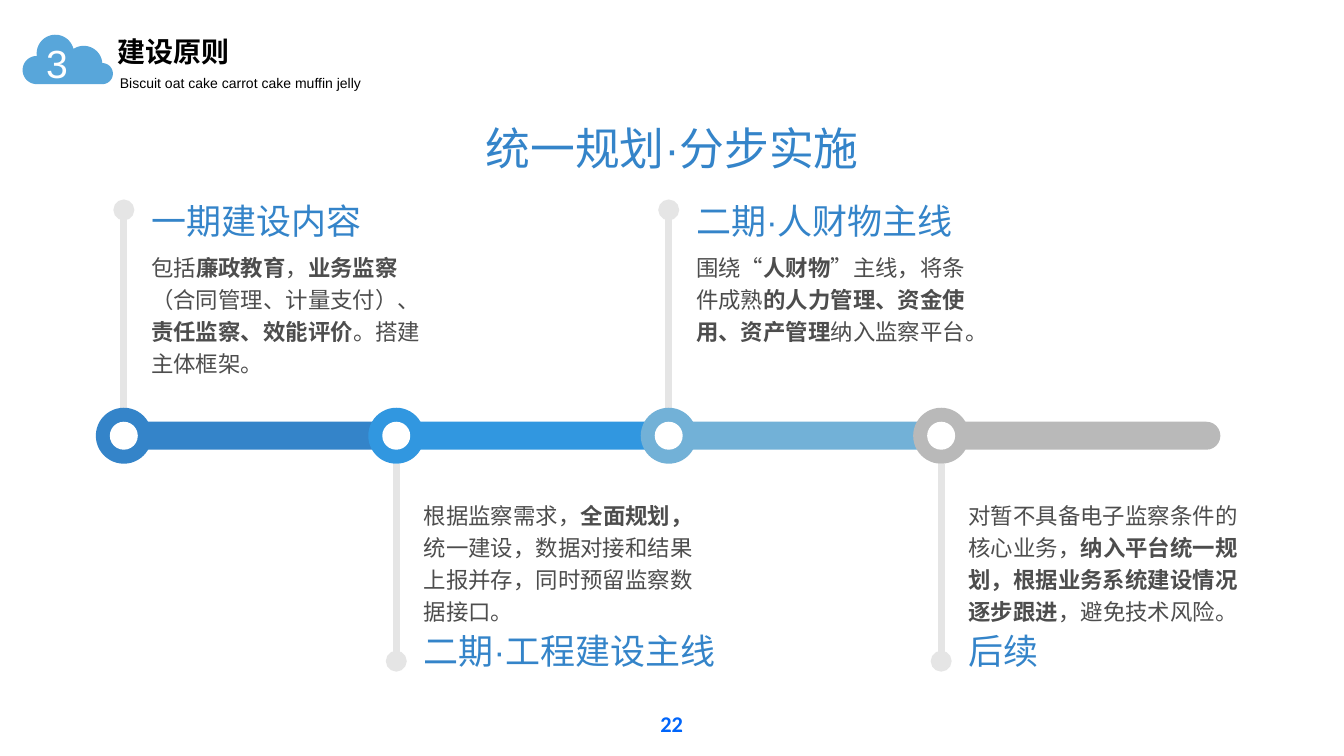
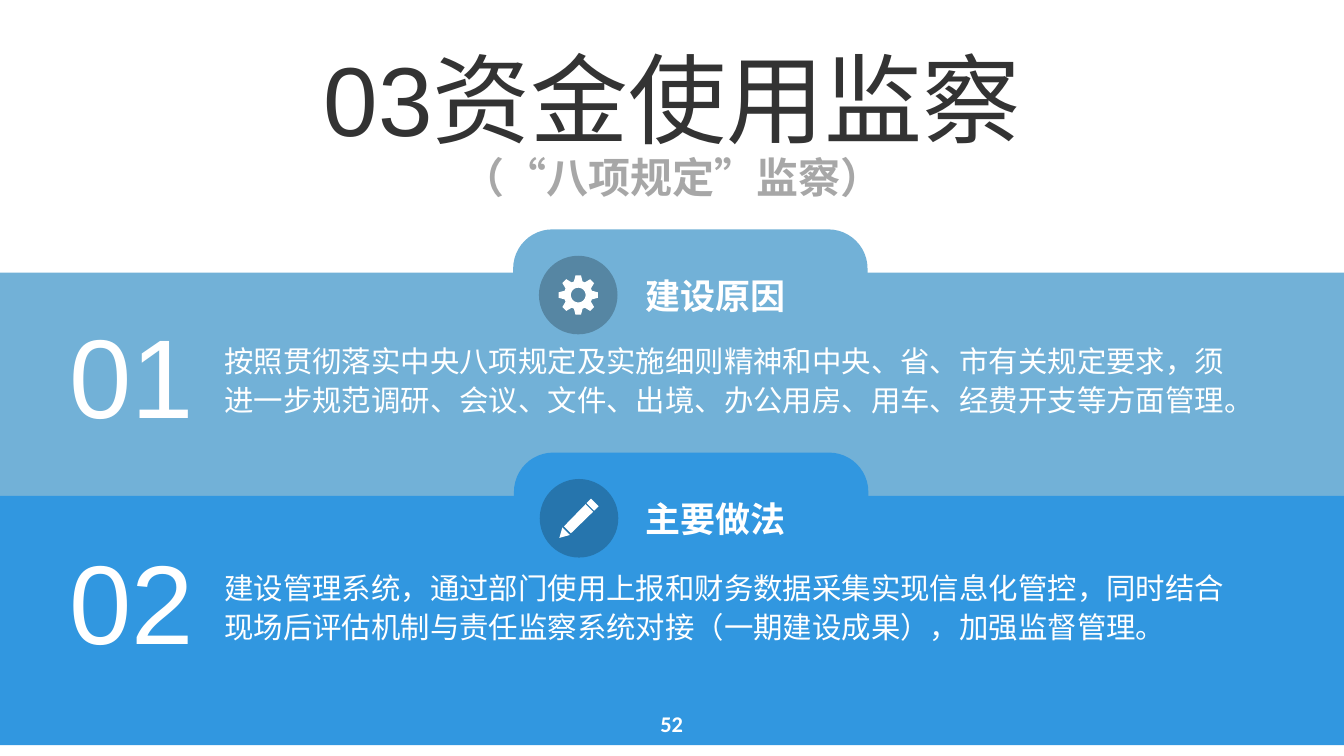
from math import cos, radians, sin

from lxml import etree
from pptx import Presentation
from pptx.dml.color import RGBColor
from pptx.enum import shapes, text
from pptx.oxml.ns import qn
from pptx.util import Cm, Pt

# Shared style
LATIN, CJK, NUMBERS = "Arial", "Noto Sans CJK SC", "Calibri"
WHITE, BLACK, INK, BODY = "FFFFFF", "000000", "333333", "4D4D4D"
DEEP, BRIGHT, PALE, GREY = "3484C9", "3197E0", "72B1D7", "B9B9B9"
CLOUD, STEM, MUTED, PAGE_BLUE = "58A6DA", "E5E5E5", "A7A7A7", "0065FA"
TOP, MIDDLE, BOTTOM = (text.MSO_ANCHOR.TOP, text.MSO_ANCHOR.MIDDLE,
                       text.MSO_ANCHOR.BOTTOM)
OVAL, RECT, ROUND = (shapes.MSO_SHAPE.OVAL, shapes.MSO_SHAPE.RECTANGLE,
                     shapes.MSO_SHAPE.ROUNDED_RECTANGLE)
SLIDE_W, SLIDE_H = 67.73, 38.1


def rgb(value):
    return RGBColor.from_string(value)


def write(frame, words, size=32, color=WHITE, bold=False, font=LATIN,
          center=False, spacing=None, more=False):
    """Fill a paragraph; parts between ** marks are bold."""
    paragraph = frame.add_paragraph() if more else frame.paragraphs[0]
    paragraph.alignment = text.PP_ALIGN.CENTER if center else text.PP_ALIGN.LEFT
    if spacing:
        paragraph.line_spacing = spacing
    for index, part in enumerate(words.split("**")):
        if not part:
            continue
        run = paragraph.add_run()
        run.text = part
        run.font.name, run.font.size = font, Pt(size)
        run.font.bold = bold or index % 2 == 1
        run.font.color.rgb = rgb(color)
        east_asian = etree.Element(qn("a:ea"), typeface=CJK)
        run.font._element.find(qn("a:latin")).addnext(east_asian)


def arc(cx, cy, radius, start, end, step=6):
    count = max(2, round((end - start) / step))
    angles = [radians(start + (end - start) * i / count) for i in range(count + 1)]
    return [(cx + radius * cos(a), cy + radius * sin(a)) for a in angles]


class Deck:
    def __init__(self):
        self.file = Presentation()
        self.file.slide_width, self.file.slide_height = Cm(SLIDE_W), Cm(SLIDE_H)
        self.slide = None

    def new_slide(self):
        self.slide = self.file.slides.add_slide(self.file.slide_layouts[5])

    def frame(self, holder, anchor, inset):
        frame = holder.text_frame
        frame.word_wrap = True
        frame.auto_size = text.MSO_AUTO_SIZE.NONE
        frame.vertical_anchor = anchor
        frame.margin_left = frame.margin_right = Cm(inset)
        frame.margin_top = frame.margin_bottom = Cm(inset)
        return frame

    def title(self, left, top, width, height, anchor):
        title = self.slide.shapes.title
        title.left, title.top = Cm(left), Cm(top)
        title.width, title.height = Cm(width), Cm(height)
        return self.frame(title, anchor, 0)

    def label(self, left, top, width, height, words, anchor=TOP, inset=0, **style):
        box = self.slide.shapes.add_textbox(Cm(left), Cm(top), Cm(width), Cm(height))
        write(self.frame(box, anchor, inset), words, **style)

    def paint(self, shape, color):
        shape.shadow.inherit = False
        shape.fill.solid()
        shape.fill.fore_color.rgb = rgb(color)
        shape.line.fill.background()

    def block(self, kind, left, top, width, height, color, rounding=None):
        shape = self.slide.shapes.add_shape(
            kind, Cm(left), Cm(top), Cm(width), Cm(height))
        if rounding is not None:
            shape.adjustments[0] = rounding
        self.paint(shape, color)

    def disc(self, cx, cy, diameter, color):
        self.block(OVAL, cx - diameter / 2, cy - diameter / 2,
                   diameter, diameter, color)

    def outline(self, contours, color):
        points = [[(Cm(x), Cm(y)) for x, y in contour] for contour in contours]
        builder = self.slide.shapes.build_freeform(*points[0][0])
        for index, contour in enumerate(points):
            if index:
                builder.move_to(*contour[0])
            builder.add_line_segments(contour[1:], close=True)
        self.paint(builder.convert_to_shape(), color)

    def stem(self, x, start, end):
        line = self.slide.shapes.add_connector(
            shapes.MSO_CONNECTOR.STRAIGHT, Cm(x), Cm(start), Cm(x), Cm(end))
        line.line.color.rgb, line.line.width = rgb(STEM), Pt(10)
        etree.SubElement(line.line._get_or_add_ln(), qn("a:tailEnd"), type="oval")
        etree.SubElement(line._element.spPr, qn("a:effectLst"))

    def page_number(self, number, color):
        self.label(32.66, 35.53, 2.39, 1.85, number, MIDDLE, 0.25, size=32,
                   color=color, bold=True, font=NUMBERS, center=True)


def principles(deck):
    deck.new_slide()
    deck.page_number("22", PAGE_BLUE)

    # Section header with numbered cloud
    deck.label(5.69, 1.5, 19.1, 2.49, "建设原则", inset=0.25, size=40,
               color=BLACK, bold=True, font=CJK)
    deck.label(5.79, 3.51, 14.88, 1.3, "Biscuit oat cake carrot cake muffin jelly",
               inset=0.25, size=20, color=BLACK)
    cloud = (arc(1.85, 3.53, 0.71, 90, 270) + arc(2.79, 2.69, 0.94, 172, 346)
             + arc(4.22, 3.25, 0.94, 240, 355) + arc(5.16, 3.71, 0.53, 270, 450))
    deck.outline([cloud], CLOUD)
    deck.label(2.08, 1.75, 2.64, 2.74, "3", inset=0.25, size=56)

    write(deck.title(4.8, 5.26, 58.14, 3.56, BOTTOM), "统一规划·分步实施",
          size=64, color=DEEP, center=True, spacing=0.9)

    # Phases alternate above and below the axis
    phases = [
        ("一期建设内容", DEEP,
         "包括**廉政教育**，**业务监察**（合同管理、计量支付）、"
         "**责任监察、效能评价**。搭建主体框架。"),
        ("二期·工程建设主线", BRIGHT,
         "根据监察需求，**全面规划，**统一建设，数据对接和结果上报并存，"
         "同时预留监察数据接口。"),
        ("二期·人财物主线", PALE,
         "围绕“**人财物**”主线，将条件成熟**的人力管理、资金使用、"
         "资产管理**纳入监察平台。"),
        ("后续", GREY,
         "对暂不具备电子监察条件的核心业务，**纳入平台统一规划，"
         "根据业务系统建设情况逐步跟进**，避免技术风险。"),
    ]
    axis, first, pitch, ring = 21.96, 6.24, 13.73, 2.82
    for index, (heading, color, detail) in enumerate(phases):
        x = first + index * pitch
        above = index % 2 == 0
        if above:
            deck.stem(x, axis - ring / 2, 10.58)
        else:
            deck.stem(x, axis + ring / 2, 33.32)
        deck.label(x + 1.38, 12.52 if above else 23.75, 14.12, 7.77, detail,
                   TOP if above else BOTTOM, color=BODY, spacing=1.2)
        deck.label(x + 1.38, 10.06 if above else 31.72, 15.95, 2.11, heading,
                   MIDDLE, size=50, color=DEEP)

    # Axis segments and nodes
    for index, (_, color, _) in enumerate(phases):
        x = first + index * pitch
        deck.block(ROUND, x + 0.29, axis - ring / 4, 13.78, ring / 2, color, 0.5)
        deck.disc(x, axis, ring, color)
        deck.disc(x, axis, ring / 2, WHITE)


def gear(cx, cy):
    teeth = [(radians(tooth * 45 + turn), radius) for tooth in range(8)
             for turn, radius in ((-17.5, 0.72), (-8, 1), (8, 1), (17.5, 0.72))]
    rim = [(cx + r * cos(a), cy + r * sin(a)) for a, r in teeth]
    return [rim, arc(cx, cy, 0.37, 360, 0, -10)]


def pencil(cx, cy):
    tip = [(0, 1.98), (0.15, 1.45), (0.53, 1.83)]
    barrel = [(0.58, 1.75), (0.23, 1.4), (1.32, 0.28), (1.7, 0.66)]
    eraser = [(1.75, 0.61), (1.37, 0.23), (1.6, 0), (1.98, 0.38)]
    return [[(cx - 0.99 + x, cy - 0.99 + y) for x, y in part]
            for part in (tip, barrel, eraser)]


def funds(deck):
    deck.new_slide()

    # Title with subtitle
    heading = deck.title(6.76, 0.79, 54.23, 11.25, MIDDLE)
    write(heading, "03资金使用监察", size=140, color=INK, center=True, spacing=0.9)
    write(heading, "（“八项规定”监察）", size=60, color=MUTED, bold=True,
          center=True, spacing=0.9, more=True)

    # Bands: number, heading, colours, icon, band top, tab left, text top, number top
    bands = [
        ("01", "建设原因", PALE, "5686A3", gear, 13.74, 25.86, 17.12, 16.18,
         "按照贯彻落实中央八项规定及实施细则精神和中央、省、市有关规定要求，"
         "须进一步规范调研、会议、文件、出境、办公用房、用车、经费开支等方面管理。"),
        ("02", "主要做法", BRIGHT, "2675AD", pencil, 24.99, 25.9, 28.58, 27.56,
         "建设管理系统，通过部门使用上报和财务数据采集实现信息化管控，"
         "同时结合现场后评估机制与责任监察系统对接（一期建设成果），加强监督管理。"),
    ]
    for (number, name, color, badge, icon, top, tab, detail_top, number_top,
         detail) in bands:
        tab_top = top - 2.18
        middle = tab_top + 3.31
        deck.block(RECT, 0, top, SLIDE_W, min(12.57, SLIDE_H - top), color)
        deck.block(ROUND, tab, tab_top, 17.86, 6.6, color, 0.3)
        deck.disc(tab + 3.28, middle, 3.96, badge)
        deck.outline(icon(tab + 3.28, middle), WHITE)
        deck.label(tab + 6.65, middle - 1.97, 9.91, 3.94, name, MIDDLE,
                   size=50, bold=True)
        deck.label(11.3, detail_top, 50.38, 5.03, detail, size=42, spacing=1.1)
        deck.label(3.35, number_top, 6.6, 6.6, number, MIDDLE, size=160,
                   center=True, spacing=0.8)

    deck.page_number("52", WHITE)


def main():
    deck = Deck()
    principles(deck)
    funds(deck)
    deck.file.save("out.pptx")


if __name__ == "__main__":
    main()
